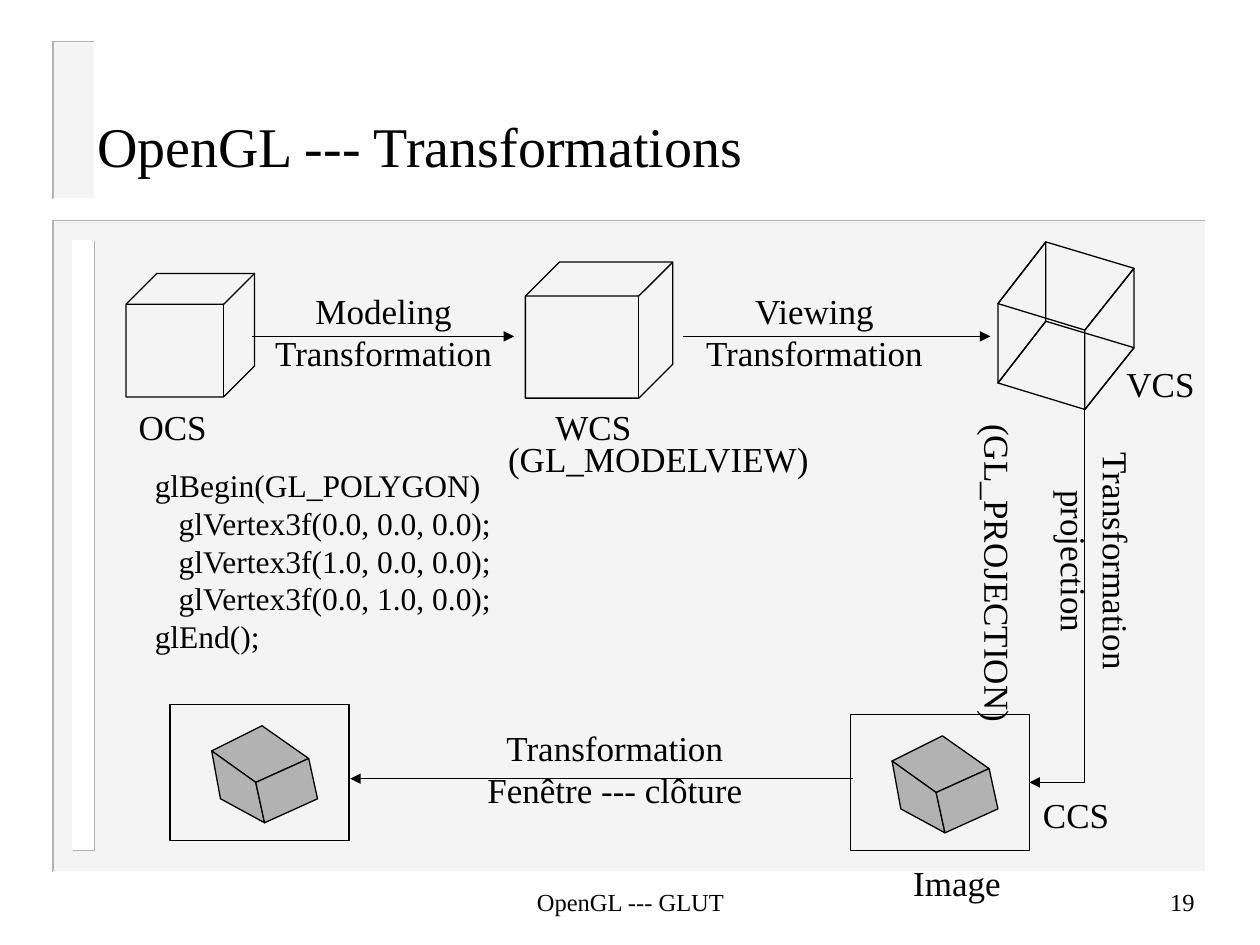
from lxml.etree import SubElement
from pptx import Presentation
from pptx.dml.color import RGBColor
from pptx.enum.shapes import MSO_CONNECTOR, MSO_SHAPE
from pptx.enum.text import MSO_ANCHOR, MSO_AUTO_SIZE, PP_ALIGN
from pptx.oxml.ns import qn
from pptx.util import Inches, Pt

BLACK = RGBColor(0, 0, 0)
WHITE = RGBColor(0xFF, 0xFF, 0xFF)
GRAY = RGBColor(0xB2, 0xB2, 0xB2)
PANEL = RGBColor(0xEA, 0xEA, 0xEA)
FONT = "Times New Roman"


def paint(sp, fill=None, line=BLACK, width=0.75, alpha=None):
    sp.shadow.inherit = False
    if fill is None:
        sp.fill.background()
    else:
        sp.fill.solid()
        sp.fill.fore_color.rgb = fill
    if alpha is not None:
        color = sp.fill._xPr.find(qn("a:solidFill"))[0]
        SubElement(color, qn("a:alpha"), val=str(alpha * 1000))
    if line is None:
        sp.line.fill.background()
    else:
        sp.line.color.rgb = line
        sp.line.width = Pt(width)


def add_box(shapes, kind, box, **style):
    sp = shapes.add_shape(kind, *map(Inches, box))
    paint(sp, **style)
    return sp


def add_path(shapes, points, close=False, **style):
    pts = [(Inches(x), Inches(y)) for x, y in points]
    fb = shapes.build_freeform(*pts[0], scale=1.0)
    fb.add_line_segments(pts[1:], close=close)
    paint(fb.convert_to_shape(), **style)


def add_lines(tf, lines, size, align, indents=None):
    for i, text in enumerate(lines):
        p = tf.paragraphs[0] if i == 0 else tf.add_paragraph()
        p.alignment = align
        if indents and indents[i]:
            p._p.get_or_add_pPr().set("marL", str(Inches(indents[i])))
        r = p.add_run()
        r.text = text
        r.font.size = Pt(size)
        r.font.name = FONT
        r.font.color.rgb = BLACK


def add_label(s, box, lines, size=20, align=PP_ALIGN.CENTER, rotation=0,
              indents=None, anchor=MSO_ANCHOR.TOP):
    tb = s.shapes.add_textbox(*map(Inches, box))
    tb.rotation = rotation
    tf = tb.text_frame
    tf.word_wrap = False
    tf.vertical_anchor = anchor
    if align == PP_ALIGN.CENTER:
        tf.margin_left = tf.margin_right = Inches(0.02)
    add_lines(tf, lines, size, align, indents)


def style_arrow(cn):
    cn.line.color.rgb = BLACK
    cn.line.width = Pt(0.75)
    SubElement(cn.line._get_or_add_ln(), qn("a:tailEnd"), type="triangle")
    SubElement(cn._element.spPr, qn("a:effectLst"))


def add_arrow(s, x1, x2, y):
    cn = s.shapes.add_connector(MSO_CONNECTOR.STRAIGHT, Inches(x1), Inches(y), Inches(x2), Inches(y))
    style_arrow(cn)


def add_corner_arrow(s, x1, y1, x2, y2):
    run, drop = x1 - x2, y2 - y1
    cn = s.shapes.add_connector(MSO_CONNECTOR.ELBOW, 0, 0, Inches(drop), Inches(run))
    cn.left = Inches((x1 + x2 - drop) / 2)
    cn.top = Inches((y1 + y2 - run) / 2)
    cn._element.spPr.find(qn("a:xfrm")).set("rot", str(90 * 60000))
    cn._element.spPr.find(qn("a:prstGeom")).set("prst", "bentConnector2")
    style_arrow(cn)


def add_bevel(shapes, box, top_left, bottom_right, **fill):
    x, y, w, h = box
    add_box(shapes, MSO_SHAPE.RECTANGLE, box, line=None, **fill)
    add_path(shapes, [(x + w, y), (x, y), (x, y + h)], line=top_left, width=1)
    add_path(shapes, [(x + w, y), (x + w, y + h), (x, y + h)], line=bottom_right, width=1)


def add_background(s):
    shapes = s.shapes.add_group_shape().shapes
    add_bevel(shapes, (0.42, 1.75, 9.15, 5.17), GRAY, WHITE, fill=PANEL, alpha=50)
    add_bevel(shapes, (0.58, 1.91, 0.17, 4.84), WHITE, GRAY, fill=WHITE)
    add_bevel(shapes, (0.42, 0.33, 0.33, 1.25), GRAY, WHITE, fill=PANEL, alpha=50)


def add_title(s, box, text):
    title = s.shapes.title
    title.left, title.top, title.width, title.height = map(Inches, box)
    tf = title.text_frame
    tf.auto_size = MSO_AUTO_SIZE.NONE
    tf.vertical_anchor = MSO_ANCHOR.MIDDLE
    add_lines(tf, [text], 32, PP_ALIGN.LEFT)
    s.shapes._spTree.append(title._element)


def add_footer(s, top):
    add_label(s, (3.42, top, 3.17, 0.5), ["OpenGL --- GLUT"], 14, anchor=MSO_ANCHOR.MIDDLE)
    add_label(s, (7.5, top, 2.08, 0.5), ["19"], 14, PP_ALIGN.RIGHT, anchor=MSO_ANCHOR.MIDDLE)


def add_wire_cube(s, x, y):
    shapes = s.shapes.add_group_shape().shapes
    back, left, front, right = (0.38, 0), (0, 0.49), (0.69, 0.7), (1.08, 0.21)
    depth = 0.63

    def face(*corners):
        add_path(shapes, [(x + dx, y + dy) for dx, dy in corners], close=True)

    def lower(corner):
        return corner[0], corner[1] + depth

    ring = (back, left, front, right)
    face(*ring)
    face(*map(lower, ring))
    for a, b in ((back, left), (right, front)):
        face(a, lower(a), lower(b), b)


def add_framed_cube(s, x, y):
    shapes = s.shapes.add_group_shape().shapes
    left, back, right, front = (0.33, 0.37), (0.73, 0.17), (1.1, 0.43), (0.68, 0.62)
    left_low, right_low, front_low = (0.4, 0.75), (1.17, 0.75), (0.75, 0.94)
    faces = ((left, back, right, front),
             (left, left_low, front_low, front),
             (front, right, right_low, front_low))
    for corners in faces:
        add_path(shapes, [(x + dx, y + dy) for dx, dy in corners], close=True, fill=GRAY)
    add_box(shapes, MSO_SHAPE.RECTANGLE, (x, y, 1.42, 1.08))


def add_pipeline(s):
    add_box(s.shapes, MSO_SHAPE.CUBE, (1, 2.17, 1.02, 0.98))
    add_box(s.shapes, MSO_SHAPE.CUBE, (4.17, 2.08, 1.17, 1.08))
    add_wire_cube(s, 7.92, 1.92)
    add_framed_cube(s, 6.75, 5.67)
    add_framed_cube(s, 1.35, 5.59)

    add_arrow(s, 2, 4.08, 2.67)
    add_arrow(s, 5.42, 7.86, 2.67)
    add_arrow(s, 6.77, 2.78, 6.18)
    add_corner_arrow(s, 8.61, 3.25, 8.17, 6.21)

    add_label(s, (2.08, 2.25, 1.93, 0.77), ["Modeling", "Transformation"])
    add_label(s, (5.5, 2.25, 1.93, 0.77), ["Viewing", "Transformation"])
    add_label(s, (7.73, 4.07, 1.93, 0.77), ["Transformation", "projection"], rotation=90)
    add_label(s, (3.77, 5.72, 2.22, 0.77), ["Transformation", "Fenêtre --- clôture"])
    add_label(s, (3.92, 3.42, 2.61, 0.44), ["(GL_MODELVIEW)"])
    add_label(s, (6.64, 4.33, 2.56, 0.44), ["(GL_PROJECTION)"], rotation=90)
    for text, x, y, w in (("OCS", 1, 3.17, 0.74), ("WCS", 4.31, 3.17, 0.8),
                          ("VCS", 8.84, 2.83, 0.74), ("CCS", 8.18, 6.25, 0.72),
                          ("Image", 7.15, 6.79, 0.89)):
        add_label(s, (x, y, w, 0.44), [text])


def add_code(s, box):
    lines = ["glBegin(GL_POLYGON)", "glVertex3f(0.0, 0.0, 0.0);", "glVertex3f(1.0, 0.0, 0.0);",
             "glVertex3f(0.0, 1.0, 0.0);", "glEnd();"]
    add_label(s, box, lines, 18, PP_ALIGN.LEFT, indents=[0, 0.19, 0.19, 0.19, 0])


def main():
    prs = Presentation()
    prs.slide_width, prs.slide_height = Inches(10), Inches(7.5)
    s = prs.slides.add_slide(prs.slide_layouts[5])
    add_background(s)
    add_title(s, (0.67, 0.78, 8.5, 0.75), "OpenGL --- Transformations")
    add_footer(s, 6.91)
    add_pipeline(s)
    add_code(s, (1.13, 3.65, 2.89, 1.6))
    prs.save("out.pptx")


if __name__ == "__main__":
    main()
